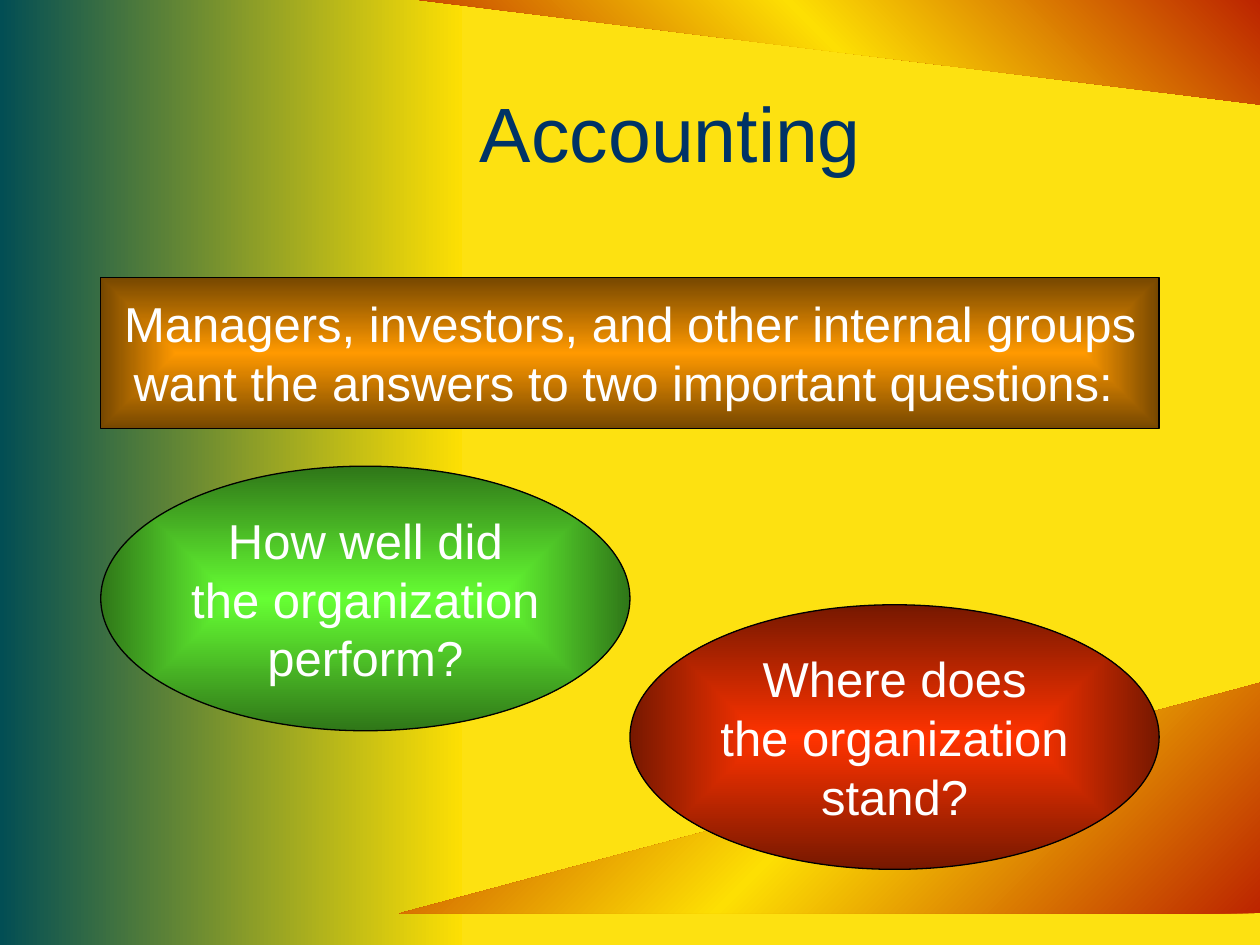
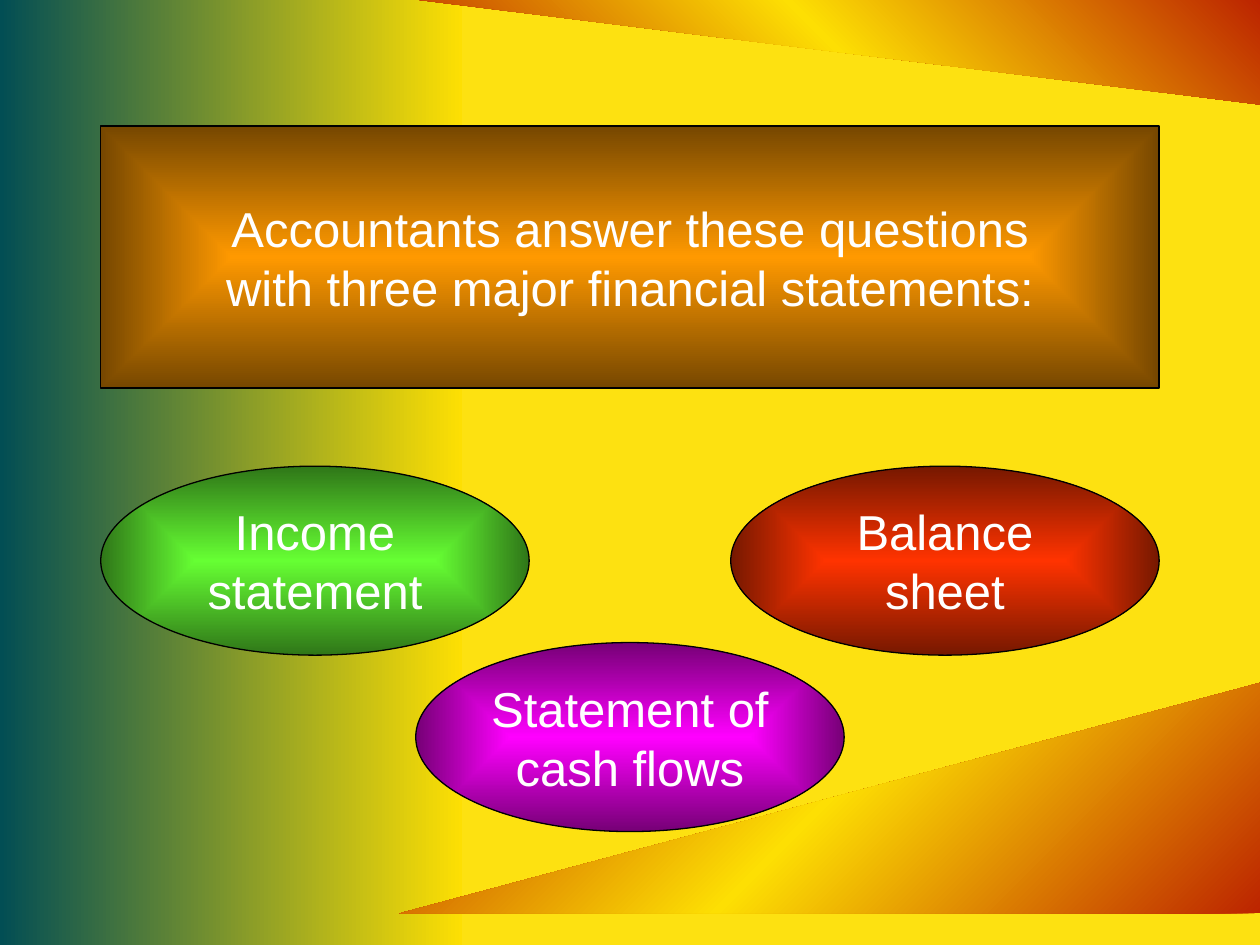
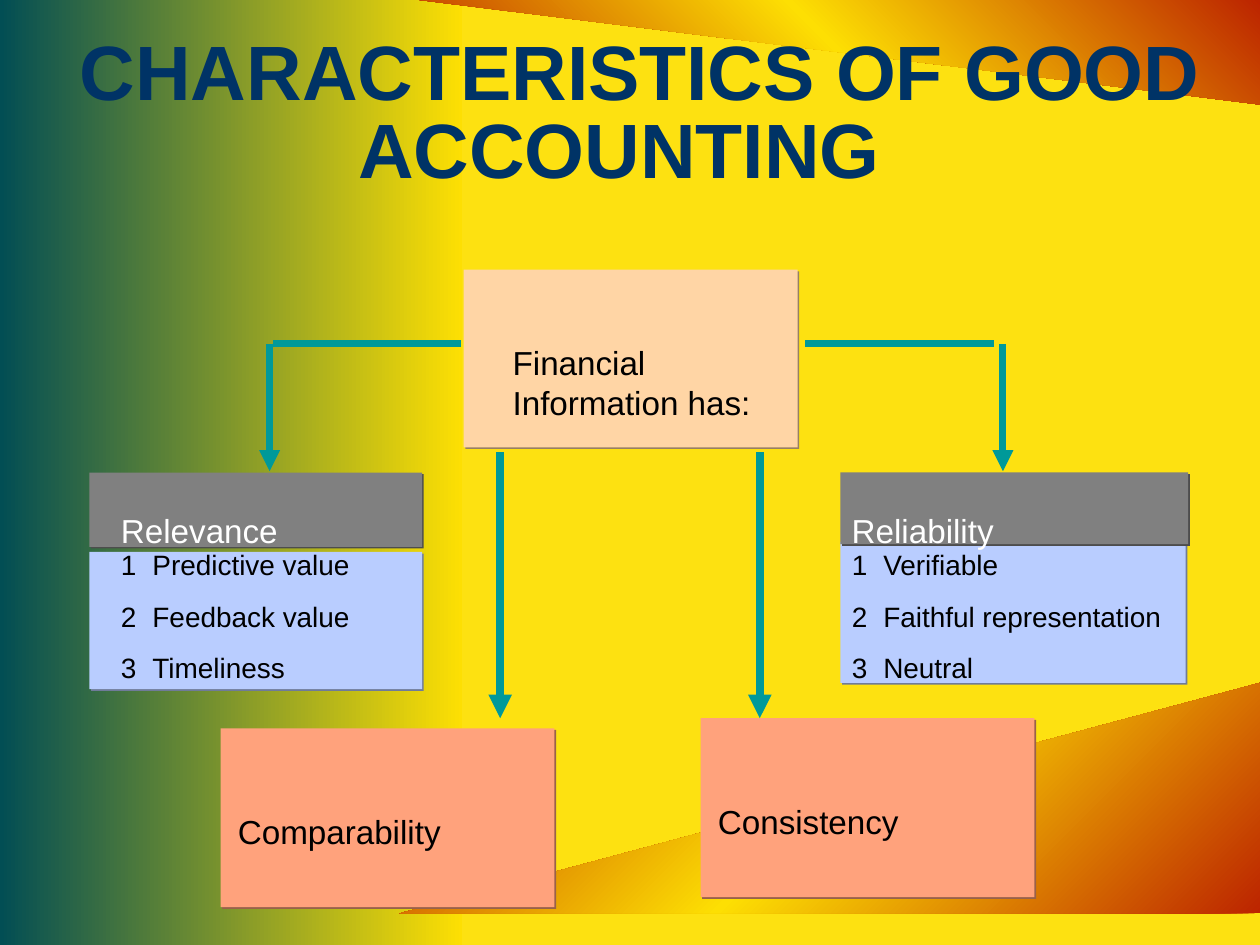
import pptx
import pptx.dml.color
import pptx.enum.shapes
import pptx.enum.text
import pptx.oxml
import pptx.oxml.ns
import pptx.util
from dataclasses import dataclass

Inches = pptx.util.Inches
Pt = pptx.util.Pt
Kind = pptx.enum.shapes.MSO_SHAPE
Align = pptx.enum.text.PP_ALIGN
Anchor = pptx.enum.text.MSO_ANCHOR
DRAWING = pptx.oxml.ns.nsdecls("a")


@dataclass(frozen=True)
class Theme:
    font: str = "Arial"
    # Colours
    page: str = "FDE111"
    side_band: tuple = ("024E54", "FDDF03")
    corner: tuple = ("BC2400", "FDDF03", "BC2400")
    title: str = "003366"
    orange: tuple = ("FF9900", "764700")
    green: tuple = ("66FF33", "2F7618")
    red: tuple = ("FF3300", "761800")
    purple: tuple = ("FF00FF", "760076")
    light: str = "FFFFFF"
    dark: str = "000000"
    header: str = "808080"
    details: str = "B9CDFF"
    root: str = "FFD5A5"
    quality: str = "FFA27C"
    arrow: str = "009999"
    # Type sizes
    title_size: int = 44
    callout_size: int = 28
    label_size: int = 19
    list_size: int = 16


THEME = Theme()


# Formatting helpers
def rgb(value):
    return pptx.dml.color.RGBColor.from_string(value)


def apply(target, values):
    for name, value in values.items():
        setattr(target, name, value)


def write(box, lines, size, color, bold=False, tab=None, frame=None, **para_format):
    """Fill a box with one paragraph per line."""
    apply(box.text_frame, {"word_wrap": True, **(frame or {})})
    for index, line in enumerate(lines):
        paras = box.text_frame.paragraphs
        para = box.text_frame.add_paragraph() if index else paras[0]
        if tab:
            para._p.get_or_add_pPr().append(pptx.oxml.parse_xml(
                f'<a:tabLst {DRAWING}><a:tab pos="{tab}" algn="l"/></a:tabLst>'))
        apply(para, para_format)
        if index == 0:
            para.space_before = Pt(0)
        span = para.add_run()
        span.text = line
        apply(span.font, {"name": THEME.font, "size": Pt(size), "bold": bold})
        span.font.color.rgb = rgb(color)


def gradient(shape, colors, angle=None):
    """Blend linearly at an angle, or from the centre when there is none."""
    step = 100000 // (len(colors) - 1)
    stops = "".join(f'<a:gs pos="{index * step}"><a:srgbClr val="{color}"/></a:gs>'
                    for index, color in enumerate(colors))
    if angle is None:
        course = ('<a:path path="rect"><a:fillToRect l="50000" t="50000" '
                  'r="50000" b="50000"/></a:path>')
    else:
        course = f'<a:lin ang="{angle * 60000}" scaled="1"/>'
    fill = pptx.oxml.parse_xml(f'<a:gradFill {DRAWING} rotWithShape="1">'
                               f'<a:gsLst>{stops}</a:gsLst>{course}</a:gradFill>')
    shape.element.spPr.find(pptx.oxml.ns.qn("a:prstGeom")).addnext(fill)


def hard_shadow(shape, color):
    """Cast a thin shadow in a darker tone of the given colour."""
    tone = "".join(f"{round(int(color[i:i + 2], 16) * 0.6):02X}" for i in (0, 2, 4))
    shape.element.spPr.append(pptx.oxml.parse_xml(
        f'<a:effectLst {DRAWING}><a:outerShdw dist="{Pt(1.4)}" dir="2700000" '
        f'algn="ctr" rotWithShape="0"><a:srgbClr val="{tone}"/></a:outerShdw>'
        '</a:effectLst>'))


# Elements
def add_plain_shape(page, kind, area):
    shape = page.shapes.add_shape(kind, *map(Inches, area))
    shape.shadow.inherit = False
    shape.line.fill.background()
    return shape


def add_text(page, area, lines, size, color, **options):
    box = page.shapes.add_textbox(*map(Inches, area))
    write(box, lines, size, color, **options)


def add_title(page, area, text, **options):
    add_text(page, area, [text], THEME.title_size, THEME.title,
             frame={"vertical_anchor": Anchor.MIDDLE}, alignment=Align.CENTER, **options)


def add_callout(page, kind, area, colors, lines):
    shape = add_plain_shape(page, kind, area)
    gradient(shape, colors)
    shape.line.color.rgb = rgb(THEME.dark)
    shape.line.width = Pt(0.75)
    write(shape, lines, THEME.callout_size, THEME.light, alignment=Align.CENTER,
          frame={"vertical_anchor": Anchor.MIDDLE, "word_wrap": False})


def add_panel(page, area, color):
    panel = page.shapes.add_shape(Kind.RECTANGLE, *map(Inches, area))
    panel.fill.solid()
    panel.fill.fore_color.rgb = rgb(color)
    panel.line.fill.background()
    hard_shadow(panel, color)


def add_line(page, start, end, width=4, arrow=True):
    line = page.shapes.add_connector(pptx.enum.shapes.MSO_CONNECTOR.STRAIGHT,
                                     *map(Inches, start + end))
    line.line.color.rgb = rgb(THEME.arrow)
    line.line.width = Pt(width)
    if arrow:
        line.line._get_or_add_ln().append(
            pptx.oxml.parse_xml(f'<a:tailEnd {DRAWING} type="triangle"/>'))
    line.element.spPr.append(pptx.oxml.parse_xml(f"<a:effectLst {DRAWING}/>"))


def add_topic(page, header, details, text_left, list_width, name, points):
    """A header bar over a numbered list."""
    add_panel(page, details, THEME.details)
    add_panel(page, header, THEME.header)
    margins = {"margin_left": Inches(0.09), "margin_right": Inches(0.09)}
    add_text(page, (text_left, 4, 2.47, 0.41), [name], THEME.label_size,
             THEME.light, frame=margins)
    numbered = [f"{number}\t{point}" for number, point in enumerate(points, 1)]
    add_text(page, (text_left, 4.3, list_width, 1.17), numbered, THEME.list_size,
             THEME.dark, frame=margins, tab=Inches(0.25), space_before=Pt(10))


def add_quality(page, left, top, name):
    add_panel(page, (left, top, 2.65, 1.42), THEME.quality)
    add_text(page, (left + 0.04, top + 0.19, 2.57, 0.8), [name], THEME.label_size,
             THEME.dark, frame={"margin_top": Inches(0.47)})


def add_page(deck):
    """A blank page with the shared backdrop."""
    page = deck.slides.add_slide(deck.slide_layouts[6])
    page.background.fill.solid()
    page.background.fill.fore_color.rgb = rgb(THEME.page)
    band = add_plain_shape(page, Kind.RECTANGLE, (0, 0, 3.67, 7.5))
    gradient(band, THEME.side_band, 0)
    top = add_plain_shape(page, Kind.RIGHT_TRIANGLE, (3.33, 0, 6.67, 0.83))
    top.rotation = 180
    gradient(top, THEME.corner, 135)
    bottom = add_plain_shape(page, Kind.RIGHT_TRIANGLE, (3.17, 5.42, 6.83, 1.83))
    bottom.element.spPr.xfrm.set("flipH", "1")
    gradient(bottom, THEME.corner, 315)
    return page


# Pages
def questions_page(deck):
    page = add_page(deck)
    add_title(page, (1, 0.42, 8.51, 1.25), " Accounting")
    add_callout(page, Kind.RECTANGLE, (0.8, 2.2, 8.4, 1.2), THEME.orange,
                ["Managers, investors, and other internal groups",
                 "want the answers to two important questions: "])
    add_callout(page, Kind.OVAL, (0.8, 3.7, 4.2, 2.1), THEME.green,
                ["How well did", "the organization", "perform?"])
    add_callout(page, Kind.OVAL, (5, 4.8, 4.2, 2.1), THEME.red,
                ["Where does", "the organization", "stand?"])


def statements_page(deck):
    page = add_page(deck)
    add_callout(page, Kind.RECTANGLE, (0.8, 1, 8.4, 2.08), THEME.orange,
                ["Accountants answer these questions",
                 "with three major financial statements:"])
    statements = [
        (0.8, 3.7, THEME.green, ["Income", "statement"]),
        (5.8, 3.7, THEME.red, ["Balance", "sheet"]),
        (3.3, 5.1, THEME.purple, ["Statement of", "cash flows"]),
    ]
    for left, top, colors, lines in statements:
        add_callout(page, Kind.OVAL, (left, top, 3.4, 1.5), colors, lines)


def characteristics_page(deck):
    page = add_page(deck)
    add_topic(page, (0.71, 3.75, 2.64, 0.59), (0.71, 4.38, 2.64, 1.09), 0.87, 2.23,
              "Relevance", ["Predictive value", "Feedback value", "Timeliness"])
    add_topic(page, (6.67, 3.75, 2.76, 0.57), (6.67, 4.3, 2.74, 1.12), 6.67, 2.92,
              "Reliability", ["Verifiable", "Faithful representation", "Neutral"])
    add_quality(page, 1.75, 5.78, "Comparability")
    add_quality(page, 5.56, 5.7, "Consistency")

    # Root of the diagram
    add_panel(page, (3.68, 2.14, 2.65, 1.41), THEME.root)
    add_text(page, (3.97, 2.34, 2.09, 1.05), ["Financial", "Information has:"],
             THEME.label_size, THEME.dark,
             frame={"margin_top": Inches(0.38), "word_wrap": False})

    # Branches to the topics and qualities
    for start, end, x in ((2.17, 3.66, 2.14), (6.39, 7.89, 7.96)):
        add_line(page, (x, 2.73), (x, 3.74))
        add_line(page, (start, 2.73), (end, 2.73), arrow=False)
    for x in (3.97, 6.03):
        add_line(page, (x, 3.59), (x, 5.7), width=4.5)

    add_title(page, (0, 0.39, 10, 1.06), " CHARACTERISTICS OF GOOD ACCOUNTING ",
              bold=True, line_spacing=0.85)


def main():
    deck = pptx.Presentation()
    deck.slide_width, deck.slide_height = Inches(10), Inches(7.5)
    questions_page(deck)
    statements_page(deck)
    characteristics_page(deck)
    deck.save("out.pptx")


if __name__ == "__main__":
    main()
